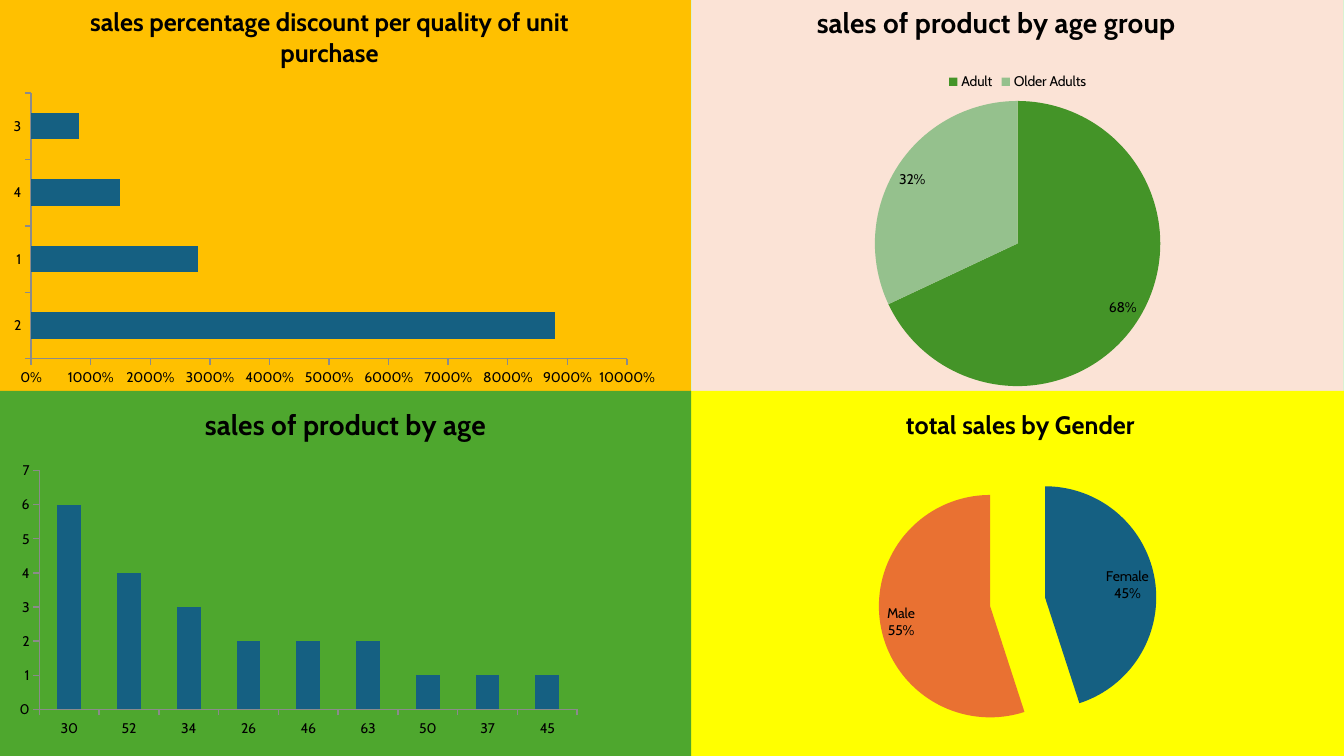
from lxml.etree import SubElement
from pptx import Presentation
from pptx.chart.data import CategoryChartData
from pptx.dml.color import RGBColor
from pptx.enum.chart import (XL_CHART_TYPE, XL_LABEL_POSITION, XL_LEGEND_POSITION,
                             XL_TICK_MARK)
from pptx.enum.dml import MSO_PATTERN
from pptx.oxml import parse_xml
from pptx.oxml.ns import nsdecls, qn
from pptx.util import Cm, Pt

FONT = "Cabin"
BLUE, ORANGE, AXIS_GREY = "156082", "E97132", "8B8B8B"
WIDTH, HEIGHT = 33.87, 19.05
SPLIT_X, SPLIT_Y = 17.42, 9.85


def color(hex_text):
    return RGBColor.from_string(hex_text)


def set_format(target, values):
    for name, value in values.items():
        setattr(target, name, value)


def make_layout(percents, inner=False):
    """Manual layout from percentages of the chart: x, y and optionally w, h."""
    layout = parse_xml(f"<c:layout {nsdecls('c')}><c:manualLayout/></c:layout>")
    manual = layout[0]
    if inner:
        SubElement(manual, qn("c:layoutTarget")).set("val", "inner")
    for side in "xy":
        SubElement(manual, qn(f"c:{side}Mode")).set("val", "edge")
    for side, percent in zip("xywh", percents):
        SubElement(manual, qn(f"c:{side}")).set("val", str(percent / 100))
    return layout


def fill_chart_area(chart, fill, border):
    line = (f'<a:ln w="9525"><a:solidFill><a:srgbClr val="{border}"/></a:solidFill></a:ln>'
            if border else "<a:ln><a:noFill/></a:ln>")
    chart.element.find(qn("c:chart")).addnext(parse_xml(
        f"<c:spPr {nsdecls('c', 'a')}><a:solidFill><a:srgbClr val=\"{fill}\"/>"
        f"</a:solidFill>{line}</c:spPr>"))


def add_panel(page, box, kind, title, title_size, title_at, plot_at, fill, data,
              border=None):
    """Place one coloured chart with its title in the given box."""
    chart_data = CategoryChartData()
    chart_data.categories = list(data)
    chart_data.add_series("Series 1", list(data.values()))
    chart = page.shapes.add_chart(kind, *map(Cm, box), chart_data).chart
    set_format(chart, {"has_legend": False, "has_title": True})
    set_format(chart.font, {"name": FONT, "size": Pt(10)})
    chart.font.color.rgb = color("000000")
    fill_chart_area(chart, fill, border)

    # Title
    frame = chart.chart_title.text_frame
    frame.text = title
    span = frame.paragraphs[0].runs[0]
    set_format(span.font, {"name": FONT, "size": Pt(title_size), "bold": True})
    span.font.color.rgb = color("000000")
    chart.chart_title.include_in_layout = False
    title_element = chart.element.find(".//" + qn("c:title"))
    for old in title_element.findall(qn("c:layout")):
        title_element.remove(old)
    title_element.find(qn("c:tx")).addnext(make_layout(title_at))

    # Plot area
    plot_area = chart.element.find(".//" + qn("c:plotArea"))
    for old in plot_area.findall(qn("c:layout")):
        plot_area.remove(old)
    plot_area.insert(0, make_layout(plot_at, inner=True))
    return chart


def add_bar_panel(page, box, maximum, step, number_format, **panel):
    chart = add_panel(page, box, **panel)
    plot = chart.plots[0]
    set_format(plot, {"gap_width": 150, "vary_by_categories": False})
    bar_fill = plot.series[0].format.fill
    bar_fill.solid()
    bar_fill.fore_color.rgb = color(BLUE)
    for axis in (chart.category_axis, chart.value_axis):
        set_format(axis, {"has_major_gridlines": False,
                          "major_tick_mark": XL_TICK_MARK.OUTSIDE,
                          "minor_tick_mark": XL_TICK_MARK.NONE})
        axis.format.line.color.rgb = color(AXIS_GREY)
        axis.format.line.width = Pt(1)
    set_format(chart.value_axis, {"minimum_scale": 0, "maximum_scale": maximum,
                                  "major_unit": step})
    set_format(chart.value_axis.tick_labels, {"number_format": number_format,
                                              "number_format_is_linked": False})


def add_pie_panel(page, box, slices, legend=False, explosion=0, **panel):
    chart = add_panel(page, box, **panel)
    plot = chart.plots[0]
    plot.vary_by_categories = True
    series = plot.series[0]
    for index, hex_text in enumerate(slices):
        slice_fill = series.points[index].format.fill
        slice_fill.solid()
        slice_fill.fore_color.rgb = color(hex_text)

    # Labels: percentages, with names where there is no legend
    labels = series.data_labels
    set_format(labels, {"show_percentage": True, "show_value": False,
                        "show_category_name": not legend, "number_format": "0%",
                        "number_format_is_linked": False,
                        "position": XL_LABEL_POSITION.BEST_FIT})
    separator = parse_xml(f"<c:separator {nsdecls('c')}>\n</c:separator>")
    chart.element.find(".//" + qn("c:ser")).find(
        qn("c:dLbls")).find(qn("c:showBubbleSize")).addnext(separator)

    if legend:
        chart.has_legend = True
        set_format(chart.legend, {"position": XL_LEGEND_POSITION.TOP,
                                  "include_in_layout": False})
    if explosion:
        pulled = parse_xml(f'<c:explosion {nsdecls("c")} val="{explosion}"/>')
        chart.element.find(".//" + qn("c:dPt")).addprevious(pulled)


def main():
    deck = Presentation()
    set_format(deck, {"slide_width": Cm(WIDTH), "slide_height": Cm(HEIGHT)})
    page = deck.slides.add_slide(deck.slide_layouts[6])

    # Patterned background
    backdrop = page.background.fill
    backdrop.patterned()
    backdrop.pattern = MSO_PATTERN.PERCENT_50
    backdrop.fore_color.rgb = color(BLUE)
    backdrop.back_color.rgb = color("FFFFFF")

    right, lower = WIDTH - SPLIT_X, HEIGHT - SPLIT_Y

    # Discount by quantity
    add_bar_panel(
        page, (0, 0, SPLIT_X, SPLIT_Y), 100, 10, "0%",
        kind=XL_CHART_TYPE.BAR_CLUSTERED, fill="FFC000",
        title="sales percentage discount per quality of unit purchase",
        title_size=18, title_at=(12.4, 0), plot_at=(4.5, 23.8, 86.2, 68),
        data={"2": 88, "1": 28, "4": 15, "3": 8})

    # Sales by age group
    add_pie_panel(
        page, (SPLIT_X, -0.08, right, 10.16), ("449428", "95C18D"), legend=True,
        kind=XL_CHART_TYPE.PIE, fill="FBE3D6", border="D9F2D0",
        title="sales of product by age group",
        title_size=20, title_at=(18.4, -0.5), plot_at=(28.1, 25.8, 43.8, 70.9),
        data={"Adult": 68, "Older Adults": 32})

    # Sales by gender
    add_pie_panel(
        page, (SPLIT_X, SPLIT_Y, right, lower), (BLUE, ORANGE), explosion=25,
        kind=XL_CHART_TYPE.PIE, fill="FFFF00", title="total sales by Gender",
        title_size=18, title_at=(32.2, 3.2), plot_at=(28.7, 19.7, 42.6, 76.2),
        data={"Female": 45, "Male": 55})

    # Sales by age
    add_bar_panel(
        page, (0, SPLIT_Y, SPLIT_X, lower), 7, 1, "0",
        kind=XL_CHART_TYPE.COLUMN_CLUSTERED, fill="4EA72E",
        title="sales of product by age",
        title_size=20, title_at=(28.9, 2.3), plot_at=(5.7, 21.8, 77.8, 65.5),
        data={"30": 6, "52": 4, "34": 3, "26": 2, "46": 2, "63": 2,
              "50": 1, "37": 1, "45": 1})

    deck.save("out.pptx")


if __name__ == "__main__":
    main()
